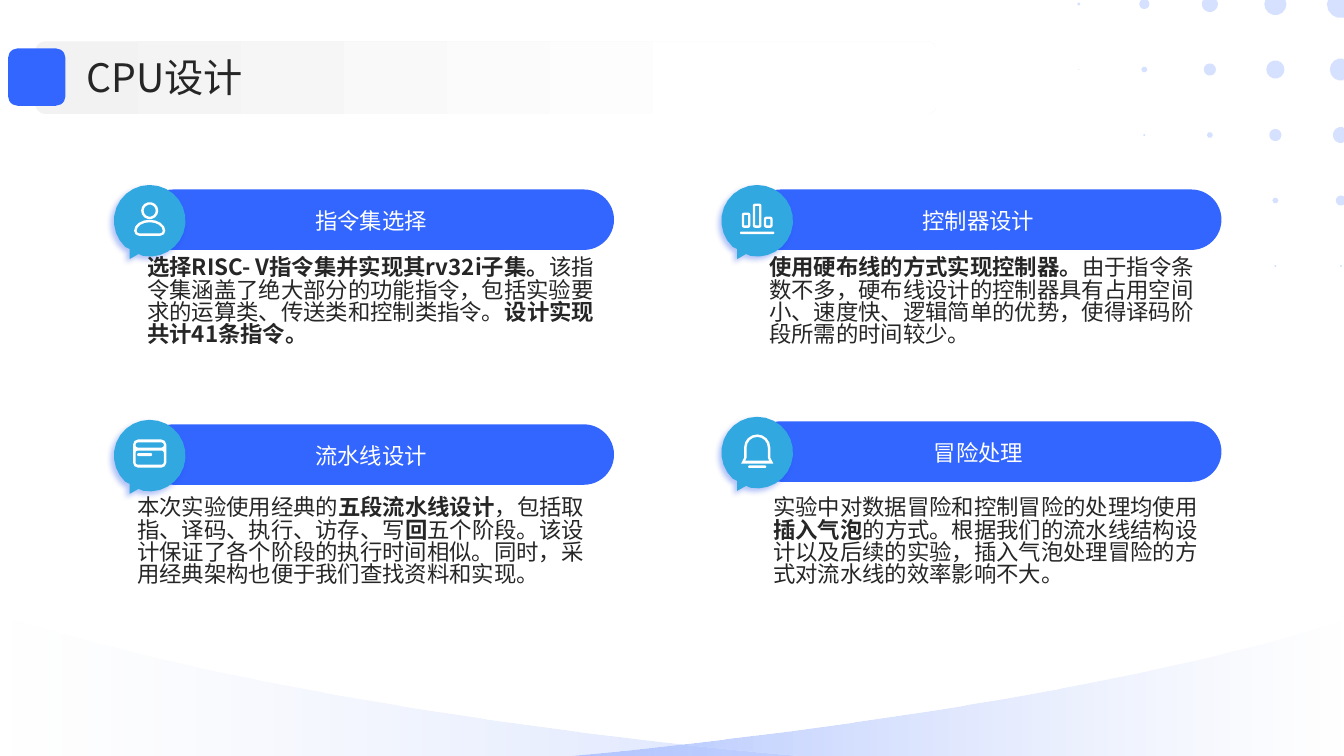
from dataclasses import dataclass
from math import cos, radians, sin

from lxml.etree import SubElement
from pptx import Presentation
from pptx.dml.color import RGBColor
from pptx.enum.shapes import MSO_SHAPE
from pptx.enum.text import MSO_ANCHOR, PP_ALIGN
from pptx.oxml.ns import qn
from pptx.util import Inches, Pt


@dataclass(frozen=True)
class Theme:
    blue: str = "3366FF"
    cyan: str = "31A8DF"
    pale: str = "D6E0FF"
    mist: str = "ADC2FF"
    gray: str = "F2F2F2"
    white: str = "FFFFFF"
    ink: str = "262626"
    glow: str = "0039E5"
    font: str = "Noto Sans CJK SC"
    accent_font: str = "Arial"
    title_size: int = 28
    text_size: int = 16
    body_spacing: float = 0.83


THEME = Theme()
WIDTH, HEIGHT = 13.33, 7.5


def arc(x, y, rx, ry, start, end, steps):
    angles = [radians(start + (end - start) * i / steps) for i in range(steps + 1)]
    return [(x + rx * cos(a), y + ry * sin(a)) for a in angles]


def circle(x, y, radius):
    steps = 14 if radius > 0.04 else 6
    return arc(x, y, radius, radius, 0, 360, steps)[:-1]


def rounded(x, y, width, height, radius):
    dx, dy = width / 2 - radius, height / 2 - radius
    corners = [(dx, dy), (-dx, dy), (-dx, -dy), (dx, -dy)]
    return [point for i, (cx, cy) in enumerate(corners)
            for point in arc(x + cx, y + cy, radius, radius, 90 * i, 90 * i + 90, 2)]


def bezier(a, b, c, d, steps=10):
    return [tuple((1 - t) ** 3 * p + 3 * (1 - t) ** 2 * t * q
                  + 3 * (1 - t) * t ** 2 * r + t ** 3 * s
                  for p, q, r, s in zip(a, b, c, d))
            for t in (i / steps for i in range(steps + 1))]


def shoulders(inset):
    corner = 0.05 - inset
    return (arc(0, 0.1, 0.155 - inset, 0.11 - inset, 180, 360, 8)
            + arc(0.105, 0.1, corner, corner, 0, 90, 2)
            + arc(-0.105, 0.1, corner, corner, 90, 180, 2))


def bell(radius, flare, rim):
    return arc(0, -0.05, radius, radius, 180, 360, 8) + [
        (radius, 0.05), (flare, rim), (-flare, rim), (-radius, 0.05)]


def bars():
    contours = [rounded(0, 0.12, 0.34, 0.025, 0.012)]
    for x, top in [(-0.11, -0.08), (0, -0.17), (0.11, -0.04)]:
        middle, height = (top + 0.07) / 2, 0.07 - top
        contours += [rounded(x, middle, 0.085, height, 0.02),
                     rounded(x, middle, 0.04, height - 0.045, 0.005)]
    return contours


PERSON = [circle(0, -0.1, 0.085), circle(0, -0.1, 0.06), shoulders(0), shoulders(0.025)]
CARD = [rounded(0, -0.02, 0.33, 0.28, 0.05), rounded(0, -0.105, 0.28, 0.05, 0.02),
        rounded(0, 0.02, 0.28, 0.14, 0.02), rounded(-0.05, -0.01, 0.15, 0.03, 0.015)]
BELL = [bell(0.13, 0.16, 0.11), bell(0.105, 0.12, 0.08), rounded(0, 0.14, 0.18, 0.025, 0.012)]
BUBBLE = [arc(0, 0, 0.355, 0.355, 133, 461, 24) + [(-0.11, 0.33), (-0.2, 0.38), (-0.2, 0.28)]]

RIGHT_WAVE = [(13.33, 6.15)] + bezier(
    (12.95, 6.27), (11.36, 6.73), (8.96, 7.15), (6.16, 7.44)) + [(5.52, 7.5), (13.33, 7.5)]
LEFT_WAVE = [(0.03, 6.11)] + bezier(
    (0.42, 6.23), (2.06, 6.71), (4.53, 7.15), (7.4, 7.44)) + [(8.06, 7.5), (0.03, 7.5)]
DOT_RADII = [
    (0.14, 0.11, 0.08, 0.05, 0.015),
    (0.11, 0.09, 0.06, 0.03, 0.005),
    (0.08, 0.06, 0.03, 0.01),
    (0.05, 0.03, 0.01),
    (0.01, 0.01),
]
DOTS = [[(min(x, WIDTH), max(y, 0)) for x, y in circle(13.3 - 0.65 * col, 0.04 + 0.65 * row, radius)]
        for row, radii in enumerate(DOT_RADII) for col, radius in enumerate(radii)]

TOPICS = [
    (1.485, 2.19, PERSON, "指令集选择", (1.46, 2.56, 4.51), [
        ("选择RISC- V指令集并实现其rv32i子集。", True),
        ("该指令集涵盖了绝大部分的功能指令，包括实验要求的运算类、传送类和控制类指令。", False),
        ("设计实现共计41条指令。", True)]),
    (7.51, 2.19, bars(), "控制器设计", (7.63, 2.56, 4.37), [
        ("使用硬布线的方式实现控制器。", True),
        ("由于指令条数不多，硬布线设计的控制器具有占用空间小、速度快、逻辑简单的优势，"
         "使得译码阶段所需的时间较少。", False)]),
    (1.485, 4.52, CARD, "流水线设计", (1.36, 4.94, 4.61), [
        ("本次实验使用经典的", False),
        ("五段流水线设计", True),
        ("，包括取指、译码、执行、访存、写", False),
        ("回", True, THEME.accent_font),
        ("五个阶段。该设计保证了各个阶段的执行时间相似。同时，"
         "采用经典架构也便于我们查找资料和实现。", False)]),
    (7.51, 4.49, BELL, "冒险处理", (7.67, 4.94, 4.37), [
        ("实验中对数据冒险和控制冒险的处理均使用", False),
        ("插入气泡", True),
        ("的方式。根据我们的流水线结构设计以及后续的实验，"
         "插入气泡处理冒险的方式对流水线的效率影响不大。", False)]),
]


class SlideBuilder:
    def __init__(self, theme, slide):
        self.theme = theme
        self.slide = slide

    def paint(self, shape, fill):
        shape.shadow.inherit = False
        shape.line.fill.background()
        if isinstance(fill, str):
            shape.fill.solid()
            shape.fill.fore_color.rgb = RGBColor.from_string(fill)
            return shape
        shape.fill.gradient()
        shape.fill.gradient_angle = 0
        for stop, (position, color, _) in zip(shape.fill.gradient_stops, fill):
            stop.position = position
            stop.color.rgb = RGBColor.from_string(color)
        for color, (_, _, alpha) in zip(shape.element.spPr.iter(qn("a:srgbClr")), fill):
            SubElement(color, qn("a:alpha"), val=str(alpha * 1000))
        return shape

    def outline(self, contours, fill, x=0, y=0):
        points = [[(Inches(x + px), Inches(y + py)) for px, py in contour] for contour in contours]
        builder = self.slide.shapes.build_freeform(*points[0][0], scale=1.0)
        for index, contour in enumerate(points):
            if index:
                builder.move_to(*contour[0])
            builder.add_line_segments(contour[1:], close=True)
        return self.paint(builder.convert_to_shape(), fill)

    def round_box(self, left, top, width, height, fill, corner):
        shape = self.slide.shapes.add_shape(
            MSO_SHAPE.ROUNDED_RECTANGLE, Inches(left), Inches(top), Inches(width), Inches(height))
        shape.adjustments[0] = corner
        return self.paint(shape, fill)

    def glow(self, shape):
        effects = shape.element.spPr.find(qn("a:effectLst"))
        shadow = SubElement(effects, qn("a:outerShdw"), blurRad=str(Pt(4)), dist=str(Pt(3)),
                            dir=str(135 * 60000), algn="tr", rotWithShape="0")
        color = SubElement(shadow, qn("a:srgbClr"), val=self.theme.glow)
        SubElement(color, qn("a:alpha"), val="30000")

    def text(self, left, top, width, height, runs, size, color,
             align=PP_ALIGN.LEFT, anchor=MSO_ANCHOR.MIDDLE, spacing=None):
        box = self.slide.shapes.add_textbox(Inches(left), Inches(top), Inches(width), Inches(height))
        frame = box.text_frame
        frame.word_wrap = True
        frame.vertical_anchor = anchor
        frame.margin_left = frame.margin_right = frame.margin_top = frame.margin_bottom = 0
        para = frame.paragraphs[0]
        para.alignment = align
        para.line_spacing = spacing
        for words, bold, *font in runs:
            span = para.add_run()
            span.text = words
            span.font.size = Pt(size)
            span.font.bold = bold
            span.font.color.rgb = RGBColor.from_string(color)
            span.font.name = font[0] if font else self.theme.font
            SubElement(span.font._element, qn("a:ea"), typeface=span.font.name)

    def topic(self, x, y, icon, label, place, runs):
        theme = self.theme
        self.round_box(x - 0.065, y - 0.31, 4.67, 0.6, theme.blue, 0.5)
        self.glow(self.outline(BUBBLE, theme.cyan, x, y))
        self.outline(icon, theme.white, x, y)
        self.text(x + 0.395, y - 0.23, 3.6, 0.46, [(label, False)],
                  theme.text_size, theme.white, PP_ALIGN.CENTER)
        self.text(*place, 1.32, runs, theme.text_size, theme.ink,
                  anchor=MSO_ANCHOR.TOP, spacing=theme.body_spacing)


def main():
    deck = Presentation()
    deck.slide_width, deck.slide_height = Inches(WIDTH), Inches(HEIGHT)
    page = SlideBuilder(THEME, deck.slides.add_slide(deck.slide_layouts[6]))
    page.outline([RIGHT_WAVE], [(0, THEME.mist, 100), (1, THEME.pale, 0)])
    page.outline([LEFT_WAVE], [(0, THEME.pale, 0), (1, THEME.mist, 45)])
    page.outline(DOTS, THEME.pale)
    for topic in TOPICS:
        page.topic(*topic)
    page.round_box(0.35, 0.41, 8.94, 0.72, [(0, THEME.gray, 100), (0.8, THEME.white, 100)], 0.14)
    page.text(0.86, 0.51, 11.67, 0.51, [("CPU设计", False)], THEME.title_size, THEME.ink)
    page.round_box(0.08, 0.48, 0.57, 0.57, THEME.blue, 0.17)
    deck.save("out.pptx")


if __name__ == "__main__":
    main()
